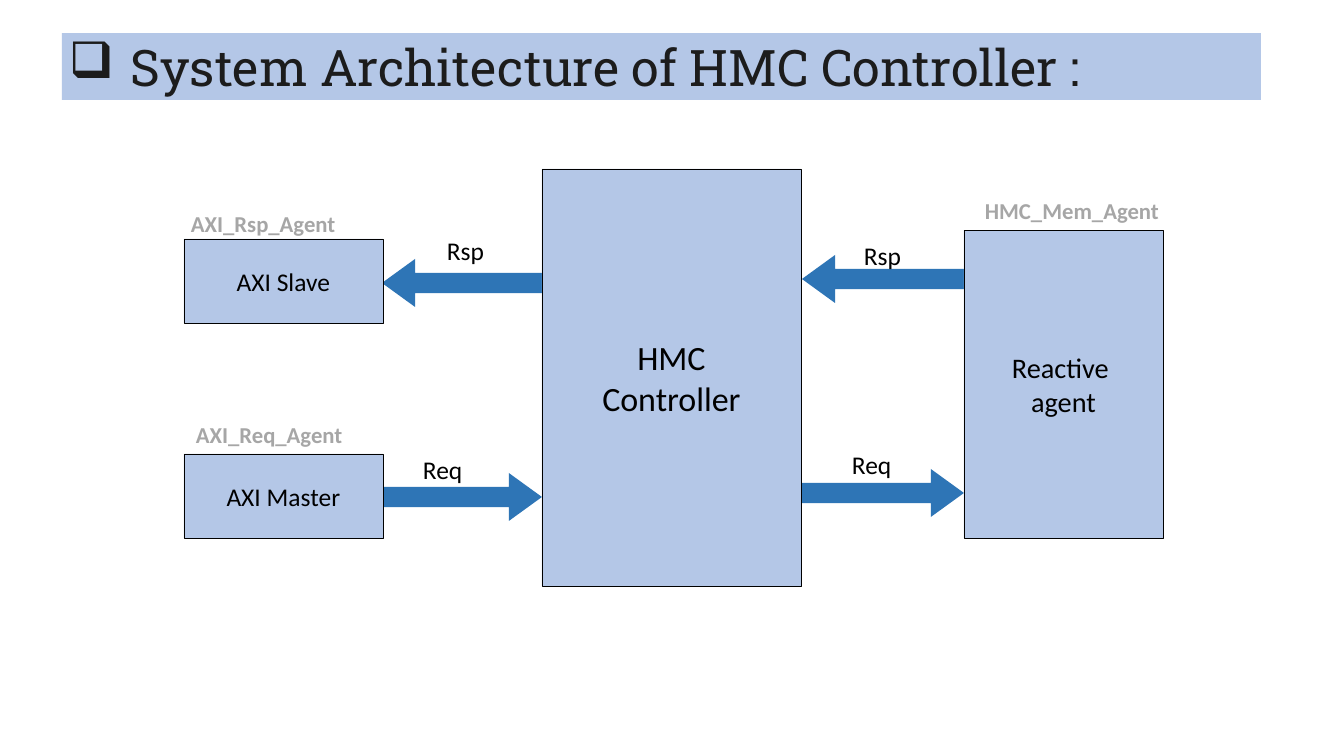
import pptx
import pptx.util
import pptx.dml.color
import pptx.enum.shapes
import pptx.enum.text
import pptx.oxml
import pptx.oxml.ns

RGBColor = pptx.dml.color.RGBColor
Shapes = pptx.enum.shapes.MSO_SHAPE
Align = pptx.enum.text.PP_ALIGN
Anchor = pptx.enum.text.MSO_ANCHOR
AutoSize = pptx.enum.text.MSO_AUTO_SIZE

PALE_BLUE = RGBColor(0xB4, 0xC7, 0xE7)
ARROW_BLUE = RGBColor(0x2E, 0x75, 0xB6)
BLACK = RGBColor(0, 0, 0)
GREY = RGBColor(0xA6, 0xA6, 0xA6)
TITLE_INK = RGBColor(0x1C, 0x1C, 0x1C)

# Content: lengths in pixels
TITLE = "System Architecture of HMC Controller :"
TITLE_BOX = (62, 33, 1199, 67)
TITLE_INDENT = 62
ARROW_SIZE = (162, 48)
ARROWS = [  # direction, left, top
    (Shapes.RIGHT_ARROW, 802, 469),
    (Shapes.LEFT_ARROW, 802, 255),
    (Shapes.RIGHT_ARROW, 380, 473),
    (Shapes.LEFT_ARROW, 382, 259),
]
BLOCKS = [  # lines, box, text size
    (["AXI Slave"], (184, 239, 199, 84), 18.2),
    (["HMC", "Controller"], (542, 169, 259, 417), 24.3),
    (["AXI Master"], (184, 454, 199, 84), 18.2),
    (["Reactive ", "agent"], (964, 230, 199, 308), 20.2),
]
SIGNAL_FORMAT = {"size": pptx.util.Pt(18.2), "name": "Calibri", "color": BLACK}
AGENT_FORMAT = {"size": pptx.util.Pt(16.2), "name": "Calibri", "color": GREY, "bold": True}
LABELS = [  # text, box, format, wraps
    ("Req", (413, 449, 60, 41), SIGNAL_FORMAT, False),
    ("Rsp", (437, 230, 58, 41), SIGNAL_FORMAT, False),
    ("Rsp", (854, 235, 58, 41), SIGNAL_FORMAT, False),
    ("Req", (842, 444, 60, 41), SIGNAL_FORMAT, False),
    ("HMC_Mem_Agent", (975, 192, 207, 37), AGENT_FORMAT, True),
    ("AXI_Req_Agent", (186, 416, 207, 37), AGENT_FORMAT, True),
    ("AXI_Rsp_Agent", (181, 205, 166, 37), AGENT_FORMAT, True),
]


def px(length):
    return pptx.util.Emu(round(length * 914400 / 100.8))


def write(frame, lines, text_format, align=Align.LEFT):
    for index, line in enumerate(lines):
        paragraph = frame.add_paragraph() if index else frame.paragraphs[0]
        paragraph.alignment = align
        run = paragraph.add_run()
        run.text = line
        for name, value in text_format.items():
            if name == "color":
                run.font.color.rgb = value
            else:
                setattr(run.font, name, value)


def add_solid(kind, box, fill):
    shape = slide.shapes.add_shape(kind, *map(px, box))
    shape.shadow.inherit = False
    shape.fill.solid()
    shape.fill.fore_color.rgb = fill
    shape.line.fill.background()
    return shape


presentation = pptx.Presentation()
presentation.slide_width, presentation.slide_height = px(1344), px(756)
slide = presentation.slides.add_slide(presentation.slide_layouts[5])

# Title bar with a box bullet
title = slide.shapes.title
title.left, title.top, title.width, title.height = map(px, TITLE_BOX)
title.fill.solid()
title.fill.fore_color.rgb = PALE_BLUE
frame_format = {
    "margin_left": px(7), "margin_right": px(7),
    "margin_top": px(3), "margin_bottom": px(3),
    "vertical_anchor": Anchor.TOP, "auto_size": AutoSize.NONE, "word_wrap": True,
}
for name, value in frame_format.items():
    setattr(title.text_frame, name, value)
write(title.text_frame, [TITLE],
      {"size": pptx.util.Pt(36), "name": "Roboto Slab", "color": TITLE_INK})
properties = title.text_frame.paragraphs[0]._p.get_or_add_pPr()
properties.set("marL", str(px(TITLE_INDENT)))
properties.set("indent", str(-px(TITLE_INDENT)))
properties.append(pptx.oxml.parse_xml(
    "<a:buChar %s char='\u2751'/>" % pptx.oxml.ns.nsdecls("a")))

# Arrows lie behind the blocks
for kind, left, top in ARROWS:
    arrow = add_solid(kind, (left, top, *ARROW_SIZE), ARROW_BLUE)
    arrow.adjustments[0] = 0.42
    arrow.adjustments[1] = 0.69

# Blocks
for lines, box, size in BLOCKS:
    block = add_solid(Shapes.RECTANGLE, box, PALE_BLUE)
    block.line.color.rgb = BLACK
    block.line.width = pptx.util.Pt(0.5)
    block.text_frame.vertical_anchor = Anchor.MIDDLE
    write(block.text_frame, lines,
          {"size": pptx.util.Pt(size), "name": "Calibri", "color": BLACK}, Align.CENTER)

# Signal and agent labels
for text, box, text_format, wraps in LABELS:
    label = slide.shapes.add_textbox(*map(px, box))
    label.text_frame.word_wrap = wraps
    write(label.text_frame, [text], text_format)

presentation.save("out.pptx")
